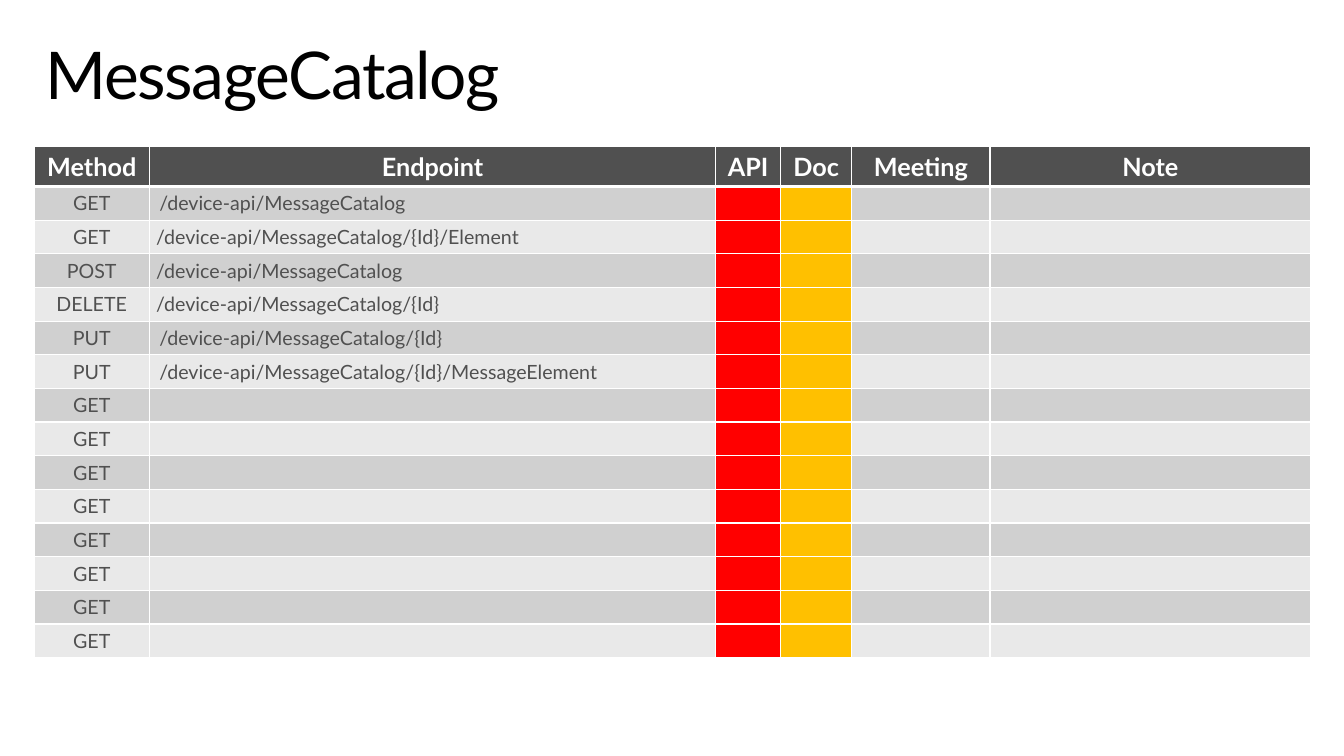
import pptx
import pptx.dml.color
import pptx.enum.text
import pptx.oxml.ns
import pptx.util
from lxml import etree

Inches, Pt = pptx.util.Inches, pptx.util.Pt
RGB = pptx.dml.color.RGBColor.from_string
CENTER = pptx.enum.text.PP_ALIGN.CENTER
LEFT = pptx.enum.text.PP_ALIGN.LEFT
MIDDLE = pptx.enum.text.MSO_ANCHOR.MIDDLE

THEME = {
    "font": "Lato",
    "title": "000000", "dark": "505050", "white": "FFFFFF",
    "bands": ["D0D0D0", "E9E9E9"], "api": "FF0000", "doc": "FFC000",
    "title_size": 47, "header_size": 18, "body_size": 14,
}

# Content
headings = ["Method", "Endpoint", "API", "Doc", "Meeting", "Note"]
column_widths = [1.14, 5.62, 0.64, 0.71, 1.37, 3.18]
requests = [
    ("GET", "/device-api/MessageCatalog"),
    ("GET", "/device-api/MessageCatalog/{Id}/Element"),
    ("POST", "/device-api/MessageCatalog"),
    ("DELETE", "/device-api/MessageCatalog/{Id}"),
    ("PUT", "/device-api/MessageCatalog/{Id}"),
    ("PUT", "/device-api/MessageCatalog/{Id}/MessageElement"),
] + [("GET", "")] * 8
tight_rows = (2, 3, 4)


def style_cell(cell, text, fill, size, color, bold, align, bottom_width):
    cell.text = text
    paragraph = cell.text_frame.paragraphs[0]
    paragraph.alignment = align
    paragraph.font.name = THEME["font"]
    paragraph.font.size = Pt(size)
    paragraph.font.bold = bold
    paragraph.font.color.rgb = RGB(color)
    if not text:  # an empty cell takes its line height from the end mark
        end_mark = etree.SubElement(paragraph._p, pptx.oxml.ns.qn("a:endParaRPr"))
        end_mark.set("sz", str(size * 100))
    # Borders come before the fill in the cell properties
    properties = cell._tc.get_or_add_tcPr()
    for side in ("L", "R", "T", "B"):
        border = etree.SubElement(properties, pptx.oxml.ns.qn("a:ln" + side))
        border.set("w", str(Pt(bottom_width if side == "B" else 1)))
        solid = etree.SubElement(border, pptx.oxml.ns.qn("a:solidFill"))
        etree.SubElement(solid, pptx.oxml.ns.qn("a:srgbClr")).set("val", THEME["white"])
    cell.fill.solid()
    cell.fill.fore_color.rgb = RGB(fill)


presentation = pptx.Presentation()
presentation.slide_width = Inches(13.33)
presentation.slide_height = Inches(7.5)
slide = presentation.slides.add_slide(presentation.slide_layouts[6])

# Title
title = slide.shapes.add_textbox(Inches(0.29), Inches(0.32), Inches(12.75), Inches(0.98))
title_frame = title.text_frame
title_frame.word_wrap = True
title_frame.margin_left = title_frame.margin_right = Inches(0.16)
title_frame.margin_top = title_frame.margin_bottom = Inches(0.1)
title_line = title_frame.paragraphs[0]
title_line.line_spacing = 0.9
title_line.font.name = THEME["font"]
title_line.font.size = Pt(THEME["title_size"])
title_line.font.color.rgb = RGB(THEME["title"])
title_run = title_line.add_run()
title_run.text = "MessageCatalog"
title_run._r.get_or_add_rPr().set("spc", "-100")

# Endpoint table
endpoint_frame = slide.shapes.add_table(
    len(requests) + 1, len(headings),
    Inches(0.34), Inches(1.45), Inches(12.66), Inches(5.06))
endpoints = endpoint_frame.table
for column, width in zip(endpoints.columns, column_widths):
    column.width = Inches(width)
for number, row in enumerate(endpoints.rows):
    row.height = Inches(0.32 if number else 0.38)
endpoint_frame.height = Inches(5.06)

# Header row
for column, heading in enumerate(headings):
    style_cell(endpoints.cell(0, column), heading, THEME["dark"],
               THEME["header_size"], THEME["white"], True, CENTER, 3)

# Request rows, with status colours in the API and Doc columns
for row, (method, endpoint) in enumerate(requests, start=1):
    band = THEME["bands"][(row - 1) % 2]
    fills = [band, band, THEME["api"], THEME["doc"], band, band]
    texts = [method, endpoint, "", "", "", ""]
    for column, (text, fill) in enumerate(zip(texts, fills)):
        style_cell(endpoints.cell(row, column), text, fill, THEME["body_size"],
                   THEME["dark"], False, LEFT if column == 1 else CENTER, 1)
    if row in tight_rows:
        path_cell = endpoints.cell(row, 1)
        path_cell.vertical_anchor = MIDDLE
        path_cell.margin_left = path_cell.margin_right = Inches(0.07)
        path_cell.margin_top = path_cell.margin_bottom = 0

presentation.save("out.pptx")
